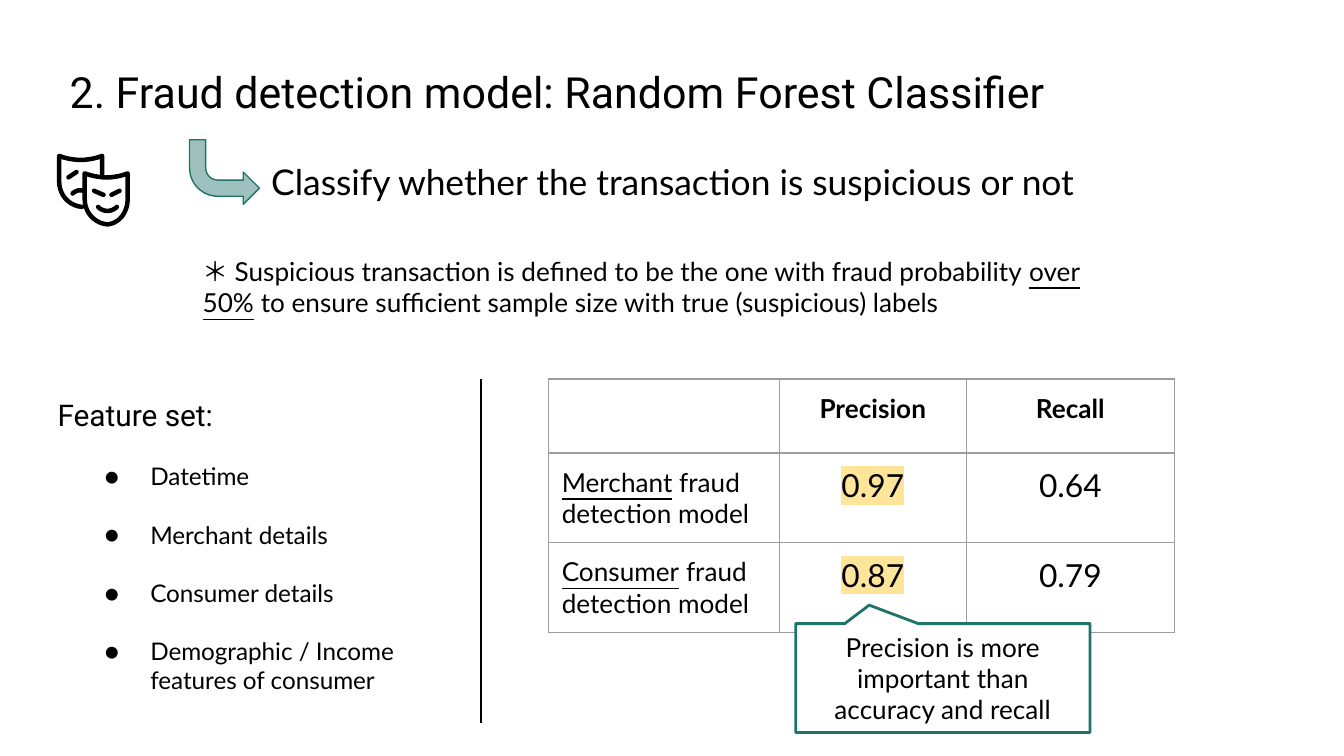
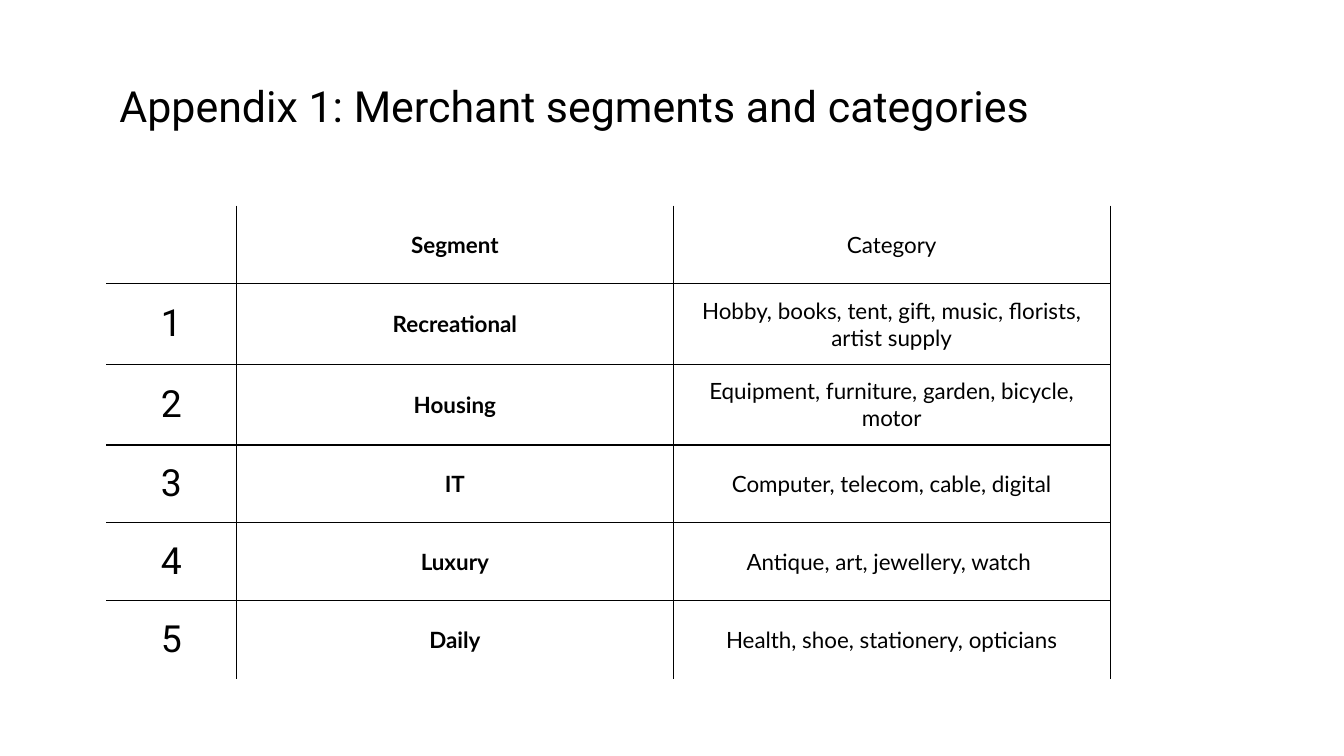
from lxml import etree
from pptx import Presentation
from pptx.dml.color import RGBColor
from pptx.enum.shapes import MSO_CONNECTOR, MSO_SHAPE
from pptx.enum.text import MSO_ANCHOR, PP_ALIGN
from pptx.oxml.ns import qn
from pptx.util import Inches, Pt

LEFT, CENTER = PP_ALIGN.LEFT, PP_ALIGN.CENTER
TOP, MIDDLE, BOTTOM = MSO_ANCHOR.TOP, MSO_ANCHOR.MIDDLE, MSO_ANCHOR.BOTTOM
STRAIGHT = MSO_CONNECTOR.STRAIGHT
BENT_ARROW, CALLOUT = MSO_SHAPE.BENT_ARROW, MSO_SHAPE.RECTANGULAR_CALLOUT

BLACK, WHITE, GREY = "000000", "FFFFFF", "9E9E9E"
TEAL, PALE_TEAL, YELLOW = "207368", "9EC0BE", "FFE599"
BODY, HEAD = "Lato", "Roboto"
INSET = Inches(0.1)
NO_STYLE = "{2D5ABB26-0587-4C30-8999-92F81FD0307C}"

# Mask strokes in hundredths of an inch: a start, then lines (2 numbers) or curves (6).
MASK_STROKES = [
    [(34, 16), (34, 2), (24, 6, 12, 6, 2, 2), (2, 21), (2, 31, 9, 39, 19, 40)],
    [(21, 15), (32, 19, 43, 19, 53, 15), (53, 34), (53, 44, 47, 52, 38, 53),
     (28, 52, 21, 44, 21, 34), (21, 15)],
    [(9, 18), (15, 14)],
    [(28, 28), (35, 31)],
    [(41, 31), (47, 28)],
    [(12, 30), (14, 28, 17, 27, 20, 28)],
    [(31, 40), (35, 44, 41, 44, 45, 40)],
]


def rgb(value):
    return RGBColor.from_string(value)


def add_run(p, text, size, font=BODY, bold=False, underline=False, highlight=None):
    r = p.add_run()
    r.text = text
    r.font.size = Pt(size)
    r.font.bold = bold
    r.font.underline = underline
    r.font.color.rgb = rgb(BLACK)
    if highlight:
        mark = etree.SubElement(r.font._element, qn("a:highlight"))
        etree.SubElement(mark, qn("a:srgbClr"), val=highlight)
    r.font.name = font


def set_frame(tf, anchor=TOP):
    tf.word_wrap = True
    tf.vertical_anchor = anchor
    tf.margin_left = tf.margin_right = tf.margin_top = tf.margin_bottom = INSET


def add_text(s, box, runs, anchor=TOP):
    """Add a text box with one paragraph of (text, size, options) runs."""
    tf = s.shapes.add_textbox(*map(Inches, box)).text_frame
    set_frame(tf, anchor)
    for text, size, options in runs:
        add_run(tf.paragraphs[0], text, size, **options)
    return tf


def add_title(s, box, text):
    add_text(s, box, [(text, 23, {"font": HEAD})])


def set_cell(cell, runs, align=CENTER, anchor=TOP):
    cell.fill.background()
    cell.vertical_anchor = anchor
    cell.margin_left = cell.margin_right = cell.margin_top = cell.margin_bottom = INSET
    p = cell.text_frame.paragraphs[0]
    p.alignment = align
    for text, size, options in runs:
        add_run(p, text, size, **options)


def set_borders(cell, color, sides):
    """Draw the sides named in a string of L, R, T and B; hide the others."""
    tcPr = cell._tc.get_or_add_tcPr()
    for i, side in enumerate("LRTB"):
        ln = etree.Element(qn(f"a:ln{side}"), w=str(Pt(0.75)))
        if side in sides:
            fill = etree.SubElement(ln, qn("a:solidFill"))
            etree.SubElement(fill, qn("a:srgbClr"), val=color)
        else:
            etree.SubElement(ln, qn("a:noFill"))
        tcPr.insert(i, ln)


def add_grid(s, x, y, widths, heights):
    tbl = s.shapes.add_table(len(heights), len(widths), Inches(x), Inches(y),
                             Inches(sum(widths)), Inches(sum(heights))).table
    tbl.first_row = tbl.horz_banding = False
    tbl._tbl.tblPr.find(qn("a:tableStyleId")).text = NO_STYLE
    for col, width in zip(tbl.columns, widths):
        col.width = Inches(width)
    for row, height in zip(tbl.rows, heights):
        row.height = Inches(height)
    return tbl


def add_autoshape(s, kind, box, adjustments, fill, line_width):
    sp = s.shapes.add_shape(kind, *map(Inches, box))
    sp.shadow.inherit = False
    sp.fill.solid()
    sp.fill.fore_color.rgb = rgb(fill)
    sp.line.color.rgb = rgb(TEAL)
    sp.line.width = Pt(line_width)
    for i, value in enumerate(adjustments):
        sp.adjustments[i] = value
    return sp


def trace(stroke, steps=10):
    """Turn a stroke into points, sampling its cubic curves."""
    points = [stroke[0]]
    for part in stroke[1:]:
        if len(part) == 2:
            points.append(part)
            continue
        (x0, y0), (x1, y1, x2, y2, x3, y3) = points[-1], part
        for i in range(1, steps + 1):
            t = i / steps
            u = 1 - t
            a, b, c, d = u ** 3, 3 * u * u * t, 3 * u * t * t, t ** 3
            points.append((a * x0 + b * x1 + c * x2 + d * x3,
                           a * y0 + b * y1 + c * y2 + d * y3))
    return points


def add_masks(s, x, y):
    group = s.shapes.add_group_shape()
    for stroke in MASK_STROKES:
        points = [(Inches(x + px / 100), Inches(y + py / 100)) for px, py in trace(stroke)]
        builder = group.shapes.build_freeform(*points[0])
        builder.add_line_segments(points[1:], close=stroke[0] == stroke[-1])
        sp = builder.convert_to_shape()
        sp.shadow.inherit = False
        sp.fill.background()
        sp.line.color.rgb = rgb(BLACK)
        sp.line.width = Pt(2.4)
        sp._element.spPr.find(qn("a:ln")).set("cap", "rnd")


def add_goal(s, x, y):
    sp = add_autoshape(s, BENT_ARROW, (x, y, 0.52, 0.48), (0.25, 0.25, 0.25, 0.44),
                       PALE_TEAL, 0.75)
    sp.rotation = 180
    sp._element.spPr.find(qn("a:xfrm")).set("flipH", "1")
    tf = add_text(s, (x + 0.51, y, 6.56, 0.92),
                  [("Classify whether the transaction is suspicious or not", 19, {})])
    tf.paragraphs[0].line_spacing = 1.15


def add_features(s, x, y):
    add_text(s, (x, y, 2.19, 0.44), [("Feature set:", 16, {"font": HEAD})], BOTTOM)
    features = ["Datetime", "Merchant details", "Consumer details",
                "Demographic / Income features of consumer"]
    tf = add_text(s, (x + 0.19, y + 0.56, 2.91, 1.83), [], BOTTOM)
    for i, feature in enumerate(features):
        p = tf.add_paragraph() if i else tf.paragraphs[0]
        pPr = p._p.get_or_add_pPr()
        pPr.set("marL", str(Inches(0.5)))
        pPr.set("indent", str(Inches(-0.34)))
        color = etree.SubElement(pPr, qn("a:buClr"))
        etree.SubElement(color, qn("a:srgbClr"), val=BLACK)
        etree.SubElement(pPr, qn("a:buFont"), typeface=BODY)
        etree.SubElement(pPr, qn("a:buChar"), char="●")
        if i:
            p.space_before = Pt(15.6)
        add_run(p, feature, 13)


def add_scores(s, x, y):
    tbl = add_grid(s, x, y, (1.72, 1.39, 1.55), (0.55, 0.66, 0.66))
    for c, heading in enumerate(("", "Precision", "Recall")):
        set_cell(tbl.cell(0, c), [(heading, 14, {"bold": True})] if heading else [])
    scores = [("Merchant", "0.97", "0.64"), ("Consumer", "0.87", "0.79")]
    for r, (model, precision, recall) in enumerate(scores, 1):
        set_cell(tbl.cell(r, 0), [(model, 14, {"underline": True}),
                                  (" fraud detection model", 14, {})], LEFT)
        set_cell(tbl.cell(r, 1), [(precision, 17, {"highlight": YELLOW})])
        set_cell(tbl.cell(r, 2), [(recall, 17, {})])
    for cell in tbl.iter_cells():
        set_borders(cell, GREY, "LRTB")

    sp = add_autoshape(s, CALLOUT, (x + 1.84, y + 1.82, 2.19, 0.81), (-0.25, -0.67),
                       WHITE, 1.5)
    set_frame(sp.text_frame, MIDDLE)
    p = sp.text_frame.paragraphs[0]
    p.alignment = CENTER
    add_run(p, "Precision is more important than accuracy and recall", 14)


def add_divider(s, x, top, bottom):
    line = s.shapes.add_connector(STRAIGHT, Inches(x), Inches(top), Inches(x), Inches(bottom))
    line.line.color.rgb = rgb(BLACK)
    line.line.width = Pt(0.75)
    etree.SubElement(line._element.spPr, qn("a:effectLst"))


def add_segments(s, x, y):
    rows = [
        ("", "Segment", "Category"),
        ("1", "Recreational", "Hobby, books, tent, gift, music, florists, artist supply"),
        ("2", "Housing", "Equipment, furniture, garden, bicycle, motor"),
        ("3", "IT", "Computer, telecom, cable, digital"),
        ("4", "Luxury", "Antique, art, jewellery, watch "),
        ("5", "Daily", "Health, shoe, stationery, opticians"),
    ]
    styles = [(20, {"font": HEAD}), (12, {"bold": True}), (12, {})]
    tbl = add_grid(s, x, y, (0.97, 3.25, 3.25), [0.58] * len(rows))
    for r, row in enumerate(rows):
        for c, (text, style) in enumerate(zip(row, styles)):
            cell = tbl.cell(r, c)
            set_cell(cell, [(text, *style)] if text else [], anchor=MIDDLE)
            sides = "R" + "L" * (c > 0) + "T" * (r > 0) + "B" * (r < len(rows) - 1)
            set_borders(cell, BLACK, sides)


def model_slide(s):
    add_title(s, (0.42, 0.39, 8.76, 0.63),
              "2. Fraud detection model: Random Forest Classifier")
    add_masks(s, 0.42, 1.14)
    add_goal(s, 1.41, 1.04)
    add_text(s, (1.41, 1.8, 6.83, 0.57), [
        ("＊ Suspicious transaction is defined to be the one with fraud probability ", 14, {}),
        ("over 50%", 14, {"underline": True}),
        (" to ensure sufficient sample size with true (suspicious) labels", 14, {}),
    ])
    add_features(s, 0.33, 2.88)
    add_divider(s, 3.58, 2.82, 5.38)
    add_scores(s, 4.08, 2.82)


def appendix_slide(s):
    add_title(s, (0.79, 0.49, 8.43, 0.63), "Appendix 1: Merchant segments and categories")
    add_segments(s, 0.79, 1.53)


def main():
    prs = Presentation()
    prs.slide_width = Inches(10)
    prs.slide_height = Inches(10 * 9 / 16)
    for build in (model_slide, appendix_slide):
        build(prs.slides.add_slide(prs.slide_layouts[6]))
    prs.save("out.pptx")


if __name__ == "__main__":
    main()
